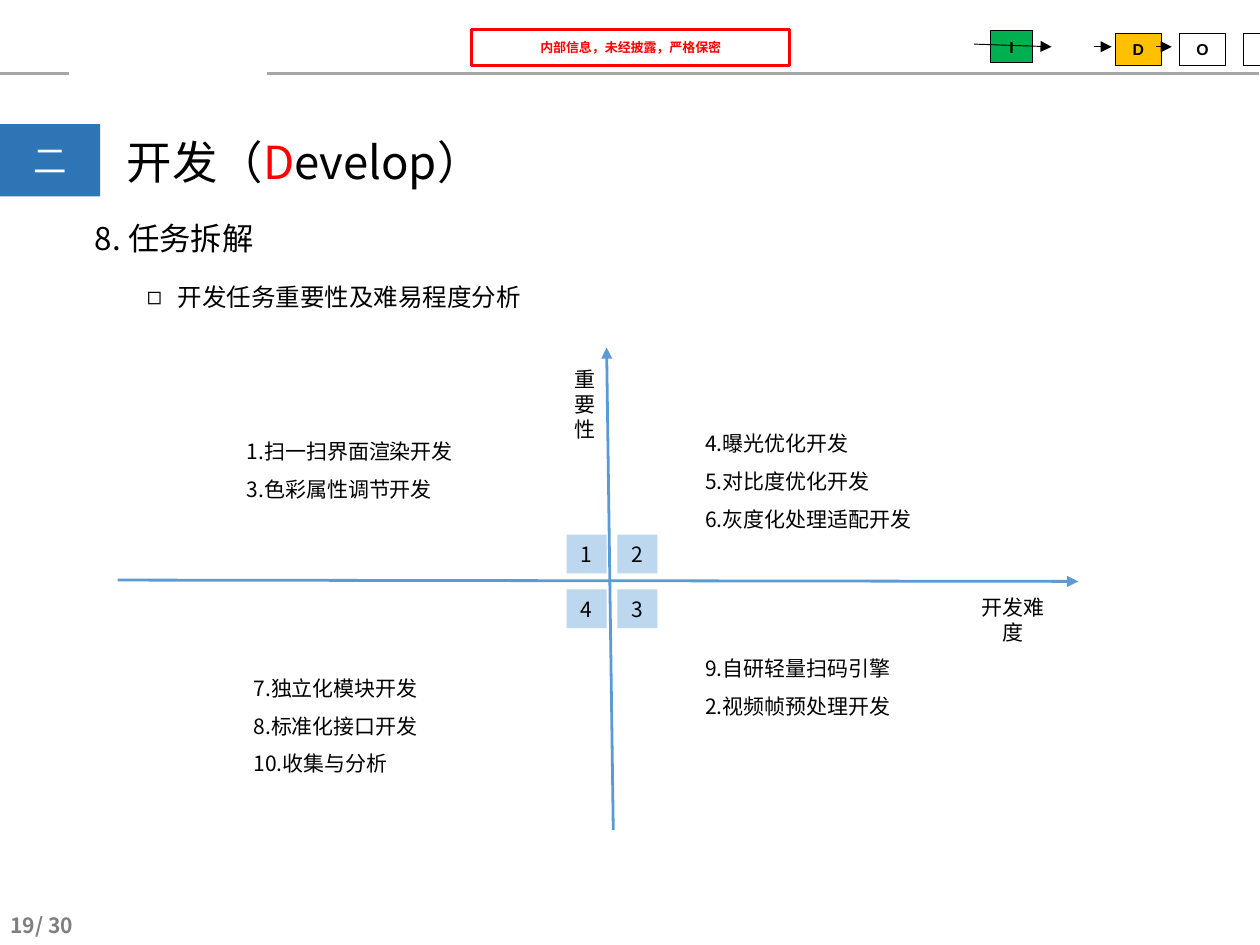
from lxml import etree
from pptx import Presentation
from pptx.dml.color import RGBColor
from pptx.enum.shapes import MSO_CONNECTOR, MSO_SHAPE
from pptx.enum.text import MSO_ANCHOR, MSO_AUTO_SIZE, PP_ALIGN
from pptx.oxml.ns import qn
from pptx.util import Inches, Pt

CJK_FONT = "Noto Sans CJK SC"
BLACK, WHITE, RED, GRAY = "000000", "FFFFFF", "FF0000", "A6A6A6"
AXIS_BLUE, TAG_BLUE, SECTION_BLUE = "5B9BD5", "BDD7EE", "2E75B6"
TEXT_SIZE = 11.3


def rgb(color):
    return RGBColor.from_string(color)


def format_run(run, size, color=BLACK, bold=False, font=CJK_FONT):
    run.font.size = Pt(size)
    run.font.bold = bold
    run.font.name = font
    run.font.color.rgb = rgb(color)
    east_asian = etree.SubElement(run.font._element, qn("a:ea"))
    east_asian.set("typeface", font)


def format_paragraph(paragraph, size, align=PP_ALIGN.LEFT, spacing=1.0, **style):
    paragraph.alignment = align
    paragraph.line_spacing = spacing
    paragraph.space_before = Pt(0)
    for run in paragraph.runs:
        format_run(run, size, **style)


def prepare_frame(shape, anchor=MSO_ANCHOR.TOP, insets=(0.1, 0.05)):
    frame = shape.text_frame
    frame.word_wrap = True
    frame.auto_size = MSO_AUTO_SIZE.NONE
    frame.vertical_anchor = anchor
    frame.margin_left = frame.margin_right = Inches(insets[0])
    frame.margin_top = frame.margin_bottom = Inches(insets[1])
    return frame


def place(shape, left, top, width, height):
    shape.left, shape.top = Inches(left), Inches(top)
    shape.width, shape.height = Inches(width), Inches(height)


def add_text(slide, box, text, insets=(0.1, 0.05), **style):
    shape = slide.shapes.add_textbox(*map(Inches, box))
    frame = prepare_frame(shape, insets=insets)
    frame.text = text
    for paragraph in frame.paragraphs:
        format_paragraph(paragraph, TEXT_SIZE, **style)


def add_box(slide, box, text, size, fill=None, line=None, line_width=0.5, **style):
    shape = slide.shapes.add_shape(MSO_SHAPE.RECTANGLE, *map(Inches, box))
    shape.shadow.inherit = False
    if fill:
        shape.fill.solid()
        shape.fill.fore_color.rgb = rgb(fill)
    else:
        shape.fill.background()
    if line:
        shape.line.color.rgb = rgb(line)
        shape.line.width = Pt(line_width)
    else:
        shape.line.fill.background()
    frame = prepare_frame(shape, MSO_ANCHOR.MIDDLE, (0, 0))
    frame.text = text
    format_paragraph(frame.paragraphs[0], size, PP_ALIGN.CENTER, **style)


def add_line(slide, start, end, color, width, arrow=True):
    line = slide.shapes.add_connector(
        MSO_CONNECTOR.STRAIGHT, *map(Inches, start + end))
    line.line.color.rgb = rgb(color)
    line.line.width = Pt(width)
    if arrow:
        tail = etree.SubElement(line.line._get_or_add_ln(), qn("a:tailEnd"))
        tail.set("type", "triangle")
    etree.SubElement(line._element.spPr, qn("a:effectLst"))


def set_bullet(paragraph, character=None, left=0, hanging=0):
    properties = paragraph._p.get_or_add_pPr()
    properties.set("marL", str(Inches(left)))
    properties.set("indent", str(-Inches(hanging)))
    if character:
        etree.SubElement(properties, qn("a:buChar")).set("char", character)
    else:
        etree.SubElement(properties, qn("a:buNone"))


def add_header(slide):
    add_line(slide, (2, 0.55), (9.42, 0.55), GRAY, 1.5, arrow=False)
    add_line(slide, (0, 0.55), (0.52, 0.55), GRAY, 1.5, arrow=False)
    add_box(slide, (3.53, 0.22, 2.38, 0.27), "内部信息，未经披露，严格保密", 7,
            line=RED, line_width=1.5, color=RED, bold=True)
    stages = [("I", 7.41, 0.23, 0.32, "00B050")]
    for index, (letter, fill) in enumerate([("D", "FFC000"), ("O", None), ("V", None)]):
        stages.append((letter, 8.35 + 0.48 * index, 0.25, 0.34, fill))
    for letter, left, top, width, fill in stages:
        add_box(slide, (left, top, width, 0.24), letter, 8.5, fill, BLACK,
                bold=True, font="Arial")
    add_line(slide, (7.29, 0.33), (7.87, 0.35), BLACK, 0.5)
    for start, end in [(8.19, 8.32), (8.65, 8.77)]:
        add_line(slide, (start, 0.35), (end, 0.35), BLACK, 0.5)


def fill_title(slide):
    title = slide.shapes.title
    place(title, 0.85, 0.95, 3.04, 0.51)
    paragraph = prepare_frame(title).paragraphs[0]
    for text in ("开发（", "D", "evelop）"):
        paragraph.add_run().text = text
    format_paragraph(paragraph, 24.5)
    paragraph.runs[1].font.color.rgb = rgb(RED)
    add_box(slide, (0, 0.93, 0.75, 0.54), "二", 18, SECTION_BLUE, color=WHITE)


def fill_body(slide):
    body = slide.placeholders[1]
    place(body, 0.61, 1.59, 6.84, 0.79)
    frame = prepare_frame(body)
    frame.text = "8. 任务拆解\n开发任务重要性及难易程度分析"
    heading, topic = frame.paragraphs
    set_bullet(heading)
    format_paragraph(heading, 16.9)
    topic.level = 1
    set_bullet(topic, "◻", 0.62, 0.23)
    format_paragraph(topic, 13.2)
    topic.space_before = Pt(13.5)


def add_quadrants(slide):
    add_text(slide, (7.17, 4.4, 0.82, 0.48), "开发难度", align=PP_ALIGN.CENTER)
    add_text(slide, (4.3, 2.74, 0.18, 0.6), "重要性", insets=(0, 0))
    add_line(slide, (0.88, 4.34), (8.07, 4.35), AXIS_BLUE, 1.5)
    add_line(slide, (4.59, 6.21), (4.54, 2.6), AXIS_BLUE, 1.5)
    for index, number in enumerate("1243"):
        row, column = divmod(index, 2)
        box = (4.24 + 0.38 * column, 4 + 0.41 * row, 0.3, 0.29)
        add_box(slide, box, number, TEXT_SIZE, TAG_BLUE)
    quadrants = [
        ((1.75, 3.14, 2.33, 0.67), ["1.扫一扫界面渲染开发", "3.色彩属性调节开发"]),
        ((5.18, 3.08, 1.99, 0.95),
         ["4.曝光优化开发", "5.对比度优化开发", "6.灰度化处理适配开发"]),
        ((5.18, 4.76, 2.38, 0.67), ["9.自研轻量扫码引擎", "2.视频帧预处理开发"]),
        ((1.8, 4.91, 2.22, 0.95),
         ["7.独立化模块开发", "8.标准化接口开发", "10.收集与分析"]),
    ]
    for box, tasks in quadrants:
        add_text(slide, box, "\n".join(tasks), spacing=1.5)


def main():
    presentation = Presentation()
    presentation.slide_width = Inches(9.43)
    presentation.slide_height = Inches(7.07)
    slide = presentation.slides.add_slide(presentation.slide_layouts[1])
    add_header(slide)
    fill_title(slide)
    fill_body(slide)
    add_quadrants(slide)
    add_text(slide, (0, 6.79, 0.9, 0.27), "19/ 30", insets=(0.08, 0.04),
             color="7F7F7F", bold=True)
    presentation.save("out.pptx")


if __name__ == "__main__":
    main()
